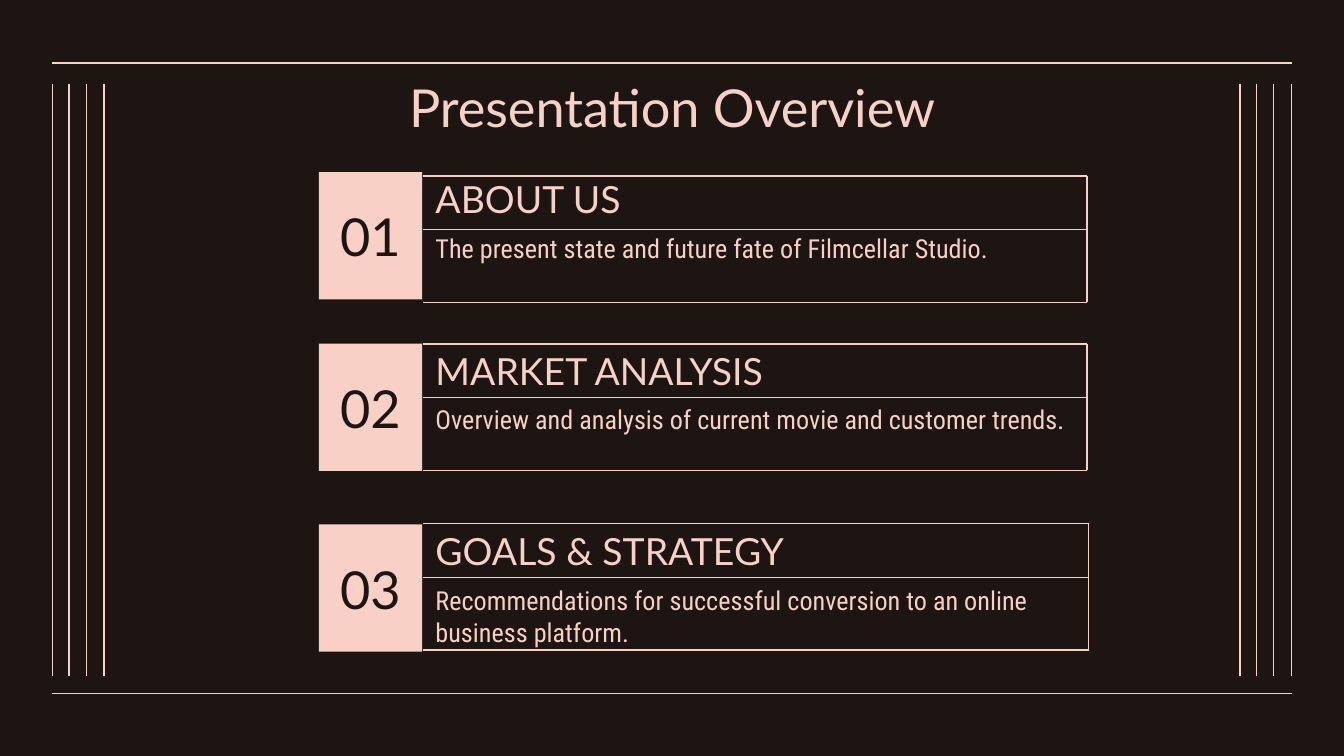
"""Build the presentation overview slide with three numbered sections."""
from typing import NamedTuple

from lxml import etree
from pptx import Presentation
from pptx.dml.color import RGBColor
from pptx.enum.shapes import MSO_CONNECTOR, MSO_SHAPE
from pptx.enum.text import MSO_ANCHOR, MSO_AUTO_SIZE, PP_ALIGN
from pptx.oxml.ns import qn
from pptx.util import Pt

DARK = RGBColor(0x1C, 0x15, 0x12)
PINK = RGBColor(0xF8, 0xD0, 0xC6)
HEAD_FONT = "Lato"
BODY_FONT = "Roboto Condensed"
STRAIGHT = MSO_CONNECTOR.STRAIGHT
RECT = MSO_SHAPE.RECTANGLE
TOP, MIDDLE = MSO_ANCHOR.TOP, MSO_ANCHOR.MIDDLE
LEFT, CENTER = PP_ALIGN.LEFT, PP_ALIGN.CENTER
NO_AUTOFIT = MSO_AUTO_SIZE.NONE

BORDER_LEFT, BORDER_RIGHT = 28.1, 691.9
BORDER_YS = (33.8, 371.5)
RAIL_TOP, RAIL_BOTTOM = 44.8, 362
RAIL_OFFSETS = (0, 8.8, 18.2, 27.7)
BADGE_LEFT, BADGE_W, BADGE_H = 170.8, 55.4, 68.2
TEXT_LEFT = 226.2
FRAME_LEFT = 226.6
RULE_OFFSETS = (0, 28.8, 67.7)


class Section(NamedTuple):
    number: str
    heading: str
    text: str
    top: float
    frame_top: float
    frame_right: float


SECTIONS = (
    Section("01", "ABOUT US",
            "The present state and future fate of Filmcellar Studio.",
            92.2, 94.3, 582.3),
    Section("02", "MARKET ANALYSIS",
            "Overview and analysis of current movie and customer trends.",
            184.1, 184.3, 582.3),
    Section("03", "GOALS & STRATEGY",
            "Recommendations for successful conversion to an online business platform.",
            281, 280.6, 583.2),
)


def add_line(s, x1: float, y1: float, x2: float, y2: float) -> None:
    line = s.shapes.add_connector(STRAIGHT, Pt(x1), Pt(y1), Pt(x2), Pt(y2))
    line.line.color.rgb = PINK
    line.line.width = Pt(0.75)
    etree.SubElement(line._element.spPr, qn("a:effectLst"))


def write_text(sp, text: str, size: float, font: str = HEAD_FONT,
               color: RGBColor = PINK, align: PP_ALIGN = LEFT,
               anchor: MSO_ANCHOR = TOP) -> None:
    tf = sp.text_frame
    tf.word_wrap = True
    tf.auto_size = NO_AUTOFIT
    tf.vertical_anchor = anchor
    tf.margin_left = tf.margin_right = tf.margin_top = tf.margin_bottom = Pt(7.2)
    tf.text = text
    p = tf.paragraphs[0]
    p.alignment = align
    p.font.size = Pt(size)
    p.font.name = font
    p.font.color.rgb = color


def add_border(s) -> None:
    for y in BORDER_YS:
        add_line(s, BORDER_LEFT, y, BORDER_RIGHT, y)
    for start in (BORDER_LEFT, BORDER_RIGHT - RAIL_OFFSETS[-1]):
        for offset in RAIL_OFFSETS:
            add_line(s, start + offset, RAIL_TOP, start + offset, RAIL_BOTTOM)


def add_title(s) -> None:
    sp = s.shapes.title
    sp.left, sp.top, sp.width, sp.height = Pt(56.2), Pt(33.1), Pt(607.7), Pt(45.4)
    write_text(sp, "Presentation Overview", 28, align=CENTER)


def add_section(s, section: Section) -> None:
    badge = s.shapes.add_shape(RECT, Pt(BADGE_LEFT), Pt(section.top),
                               Pt(BADGE_W), Pt(BADGE_H))
    badge.shadow.inherit = False
    badge.fill.solid()
    badge.fill.fore_color.rgb = PINK
    badge.line.fill.background()
    write_text(badge, section.number, 28, color=DARK, align=CENTER, anchor=MIDDLE)

    heading = s.shapes.add_textbox(Pt(TEXT_LEFT), Pt(section.top - 5),
                                   Pt(202.3), Pt(29.5))
    write_text(heading, section.heading, 20)
    body = s.shapes.add_textbox(Pt(TEXT_LEFT), Pt(section.top + 25),
                                Pt(356), Pt(45.4))
    write_text(body, section.text, 14, font=BODY_FONT)

    right = section.frame_right
    for offset in RULE_OFFSETS:
        y = section.frame_top + offset
        add_line(s, FRAME_LEFT, y, right, y)
    add_line(s, right, section.frame_top, right, section.frame_top + RULE_OFFSETS[-1])


def main() -> None:
    prs = Presentation()
    prs.slide_width, prs.slide_height = Pt(720), Pt(405)
    s = prs.slides.add_slide(prs.slide_layouts[5])
    s.background.fill.solid()
    s.background.fill.fore_color.rgb = DARK
    add_border(s)
    add_title(s)
    for section in SECTIONS:
        add_section(s, section)
    prs.save("out.pptx")


if __name__ == "__main__":
    main()
